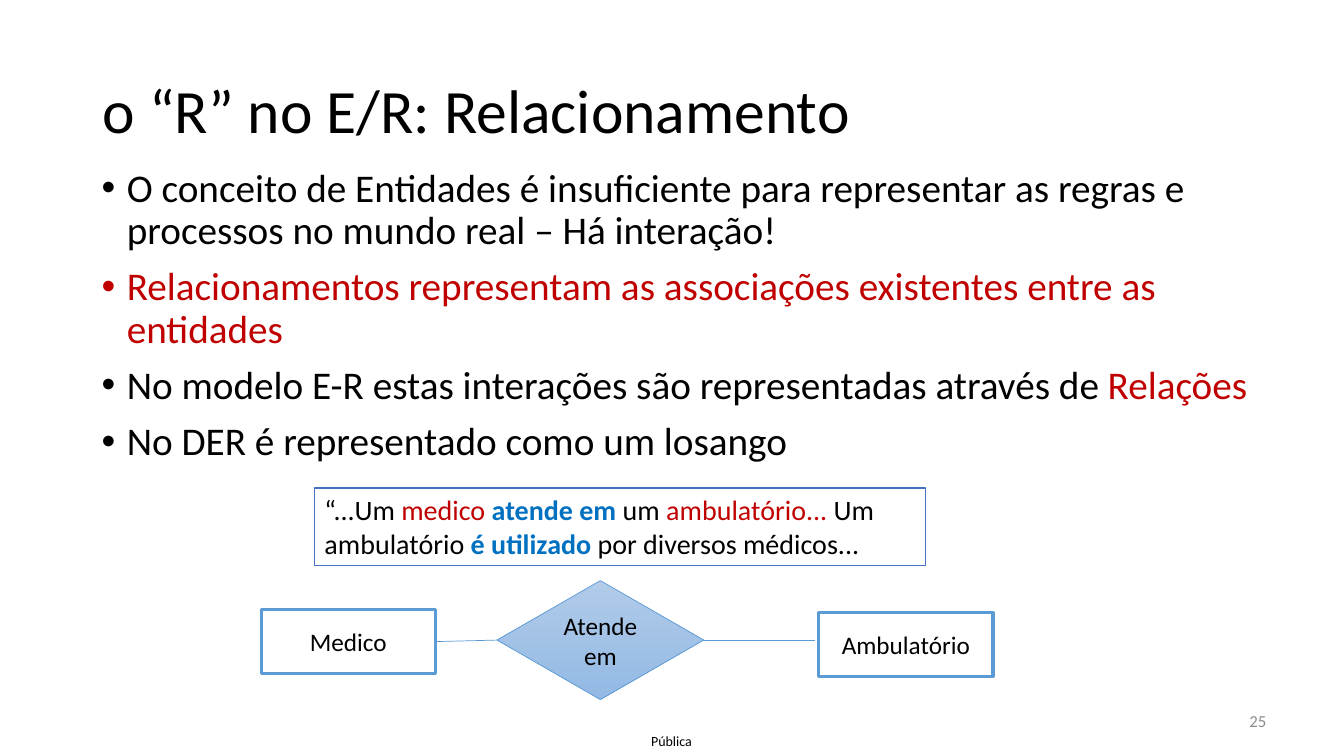
from pptx import Presentation
from pptx.dml.color import RGBColor
from pptx.enum import shapes, text
from pptx.oxml import ns
from pptx.util import Inches, Pt
from lxml import etree

BLACK = RGBColor(0, 0, 0)
WHITE = RGBColor(255, 255, 255)
RED = RGBColor(0xC0, 0, 0)
BLUE = RGBColor(0, 0x70, 0xC0)
GRAY = RGBColor(0x8C, 0x8C, 0x8C)
EDGE = RGBColor(0x5B, 0x9B, 0xD5)
FRAME = RGBColor(0x44, 0x72, 0xC4)
SKY = RGBColor(0xB1, 0xCB, 0xE9)
DEEP = RGBColor(0x93, 0xB9, 0xE4)
LEFT, MID, RIGHT = text.PP_ALIGN.LEFT, text.PP_ALIGN.CENTER, text.PP_ALIGN.RIGHT
TOP, CENTER = text.MSO_ANCHOR.TOP, text.MSO_ANCHOR.MIDDLE


def add_bullet(par):
    props = par._p.get_or_add_pPr()
    props.set("marL", str(Inches(0.25)))
    props.set("indent", str(Inches(-0.25)))
    font = etree.SubElement(props, ns.qn("a:buFont"))
    font.set("typeface", "Arial")
    etree.SubElement(props, ns.qn("a:buChar")).set("char", "•")


def write(shape, pars, size=18, color=BLACK, align=LEFT, anchor=CENTER,
          wrap=True, inset=None, bullet=False, gap=0, spacing=None):
    """Each paragraph is a list of (words, color, bold) runs or a plain string."""
    frame = shape.text_frame
    frame.word_wrap = wrap
    frame.vertical_anchor = anchor
    if inset is not None:
        frame.margin_left = frame.margin_right = inset
        frame.margin_top = frame.margin_bottom = inset
    for i, runs in enumerate(pars):
        par = frame.paragraphs[0] if i == 0 else frame.add_paragraph()
        par.alignment = align
        if spacing:
            par.line_spacing = spacing
        if i and gap:
            par.space_before = Pt(gap)
        if bullet:
            add_bullet(par)
        if isinstance(runs, str):
            runs = [(runs, color, False)]
        for words, tint, bold in runs:
            run = par.add_run()
            run.text = words
            run.font.name = "Calibri"
            run.font.size = Pt(size)
            run.font.bold = bold
            run.font.color.rgb = tint


def add_text(slide, box, pars, **style):
    shape = slide.shapes.add_textbox(*map(Inches, box))
    write(shape, pars, **style)


def add_box(slide, kind, box, pars, line=EDGE, width=2.25, **style):
    shape = slide.shapes.add_shape(kind, *map(Inches, box))
    shape.shadow.inherit = False
    shape.fill.solid()
    shape.fill.fore_color.rgb = WHITE
    shape.line.color.rgb = line
    shape.line.width = Pt(width)
    write(shape, pars, **style)
    return shape


def add_link(slide, start, end):
    link = slide.shapes.add_connector(
        shapes.MSO_CONNECTOR.STRAIGHT, *map(Inches, start + end))
    link.line.color.rgb = EDGE
    link.line.width = Pt(0.5)
    etree.SubElement(link._element.spPr, ns.qn("a:effectLst"))
    return link


def main():
    deck = Presentation()
    deck.slide_width, deck.slide_height = Inches(13.33), Inches(7.5)
    slide = deck.slides.add_slide(deck.slide_layouts[6])

    # Footer label, title and page number
    add_text(slide, (6.31, 7.21, 0.7, 0.29), ["Pública"], size=10,
             align=MID, wrap=False, inset=0)
    add_text(slide, (0.92, 0.4, 11.5, 1.45), ["o “R” no E/R: Relacionamento"],
             size=44, spacing=0.9)
    add_text(slide, (9.66, 6.95, 3, 0.4), ["25"], size=12, color=GRAY, align=RIGHT)

    # Bullet list
    points = [
        "O conceito de Entidades é insuficiente para representar as regras e "
        "processos no mundo real – Há interação!",
        [("Relacionamentos representam as associações existentes entre as "
          "entidades", RED, False)],
        [("No modelo E-R estas interações são representadas através de ",
          BLACK, False), ("Relações", RED, False)],
        "No DER é representado como um losango",
    ]
    add_text(slide, (0.91, 1.62, 11.66, 4.43), points, size=28, anchor=TOP,
             bullet=True, gap=10, spacing=0.9)

    # Entities and relationship
    rect = shapes.MSO_SHAPE.RECTANGLE
    doctor = add_box(slide, rect, (2.59, 6.05, 1.73, 0.63), ["Medico"], align=MID)
    add_box(slide, rect, (8.12, 6.08, 1.73, 0.63), ["Ambulatório"], align=MID)
    diamond = add_box(slide, shapes.MSO_SHAPE.FLOWCHART_DECISION,
                      (4.93, 5.76, 2.05, 1.18), ["Atende", "em"],
                      width=0.5, align=MID)
    diamond.fill.gradient()
    diamond.fill.gradient_angle = 270
    for stop, tint in zip(diamond.fill.gradient_stops, (SKY, DEEP)):
        stop.color.rgb = tint

    # Links
    link = add_link(slide, (4.32, 6.36), (4.93, 6.35))
    link.begin_connect(doctor, 3)
    link.end_connect(diamond, 1)
    link = add_link(slide, (6.98, 6.35), (8.08, 6.35))
    link.begin_connect(diamond, 3)

    # Example sentence
    quote = [
        ("“...Um ", BLACK, False), ("medico ", RED, False),
        ("atende em", BLUE, True), (" um ", BLACK, False),
        ("ambulatório... ", RED, False), ("Um ambulatório ", BLACK, False),
        ("é utilizado", BLUE, True), (" por diversos médicos...", BLACK, False),
    ]
    add_box(slide, rect, (3.12, 4.84, 6.06, 0.77), [quote], line=FRAME,
            width=1, size=20, anchor=TOP)

    deck.save("out.pptx")


if __name__ == "__main__":
    main()
